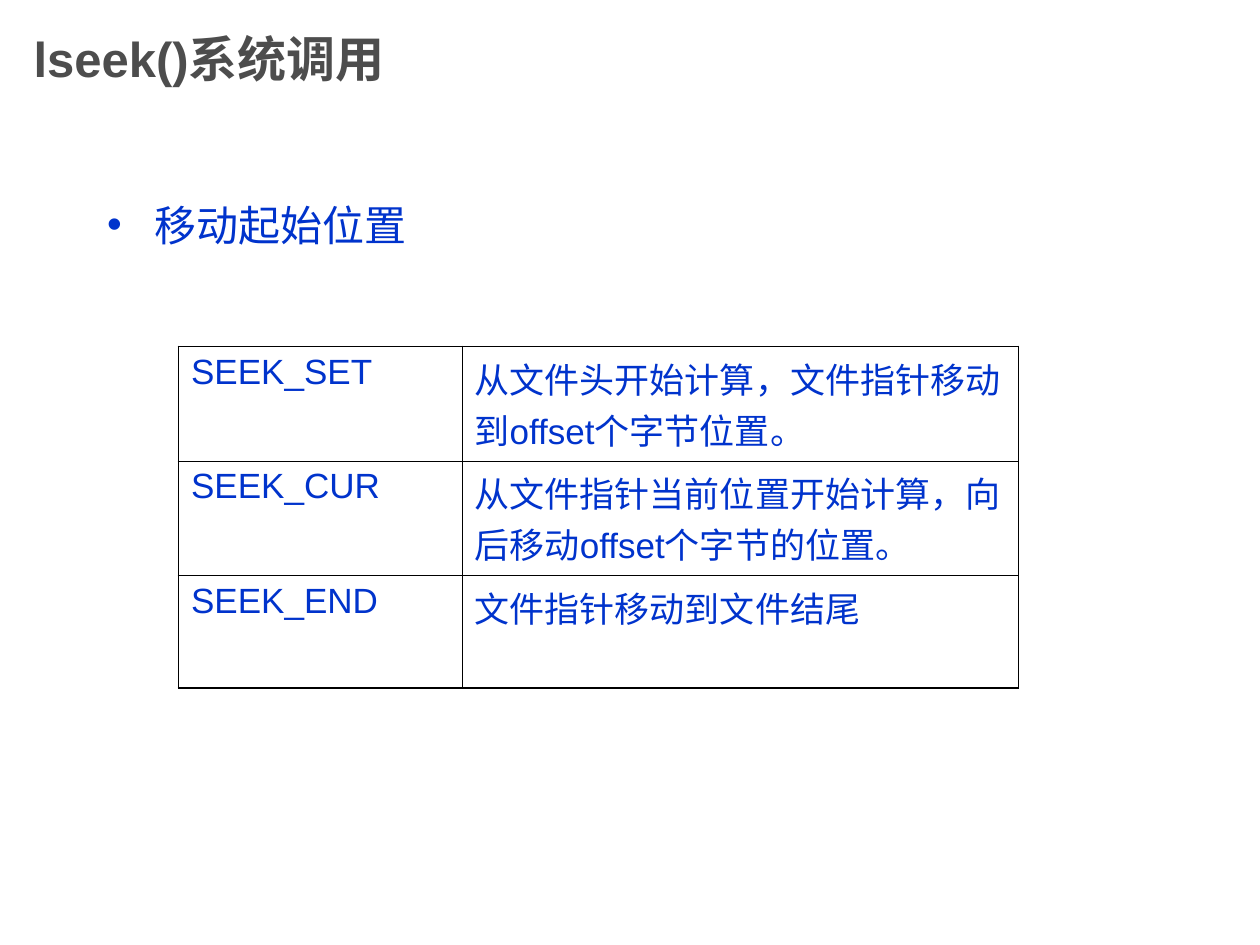
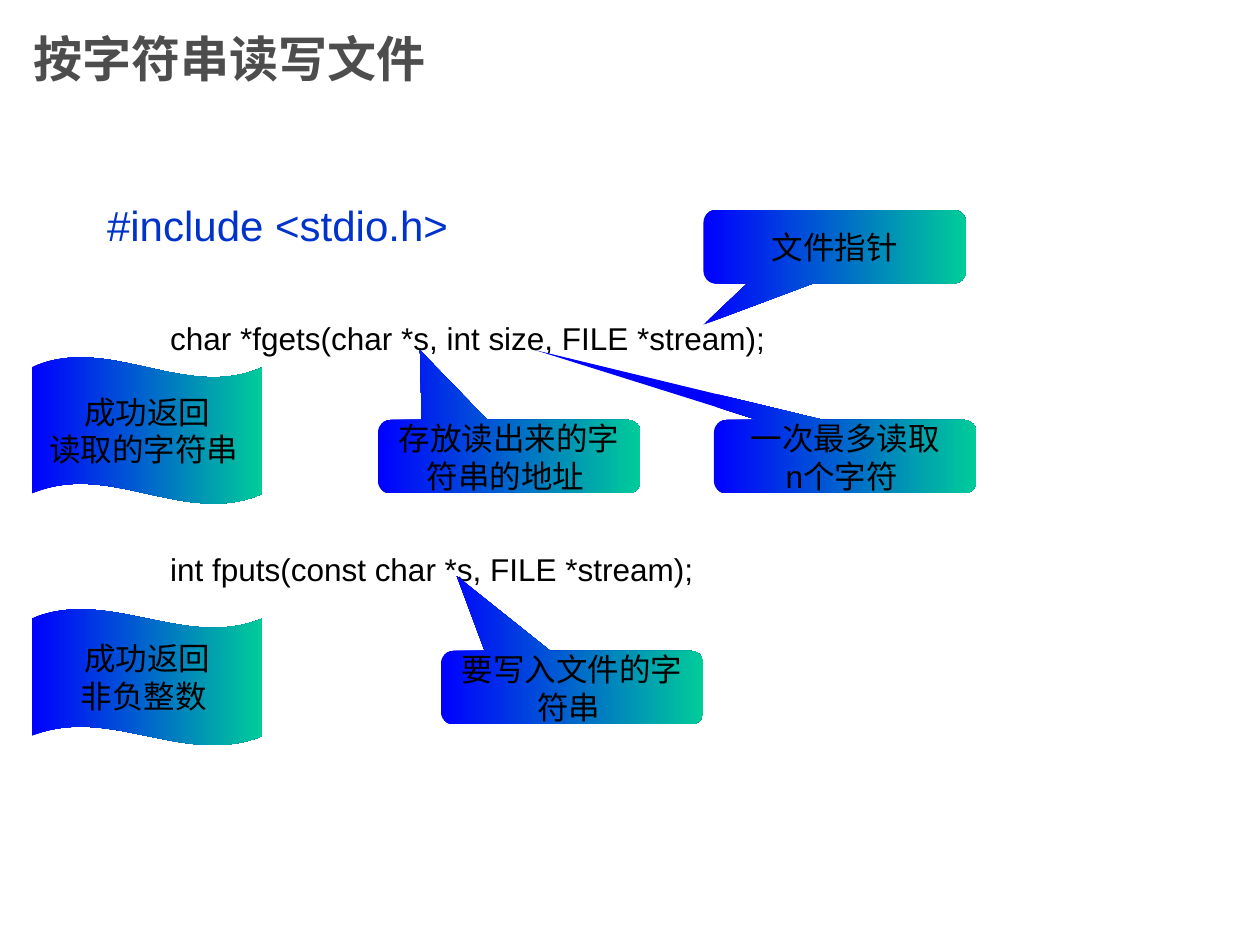
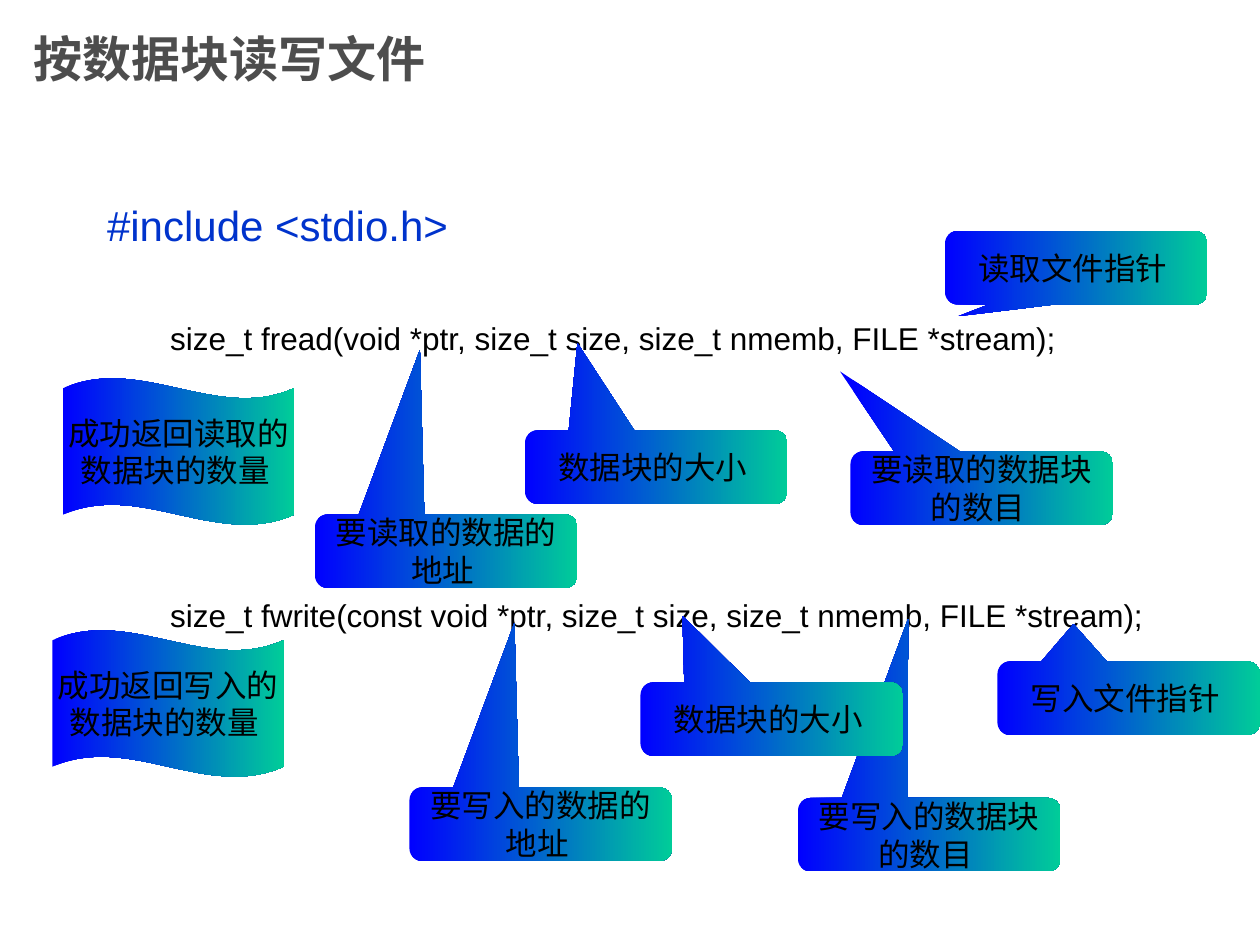
import dataclasses

import pptx
import pptx.dml.color
import pptx.enum.shapes
import pptx.enum.text
import pptx.oxml.ns
import pptx.util
from lxml import etree

ALIGN = pptx.enum.text.PP_ALIGN
ANCHOR = pptx.enum.text.MSO_ANCHOR
SHAPE = pptx.enum.shapes.MSO_SHAPE
Pt = pptx.util.Pt
qn = pptx.oxml.ns.qn


@dataclasses.dataclass(frozen=True)
class Theme:
    """Colours, type sizes and line widths shared by the slides."""
    font: str = "Arial"
    title: str = "4D4D4D"
    accent: str = "0033CC"
    ink: str = "000000"
    grad: tuple = ("0000FF", "00CC99")
    title_pt: int = 28
    body_pt: int = 24
    cell_pt: int = 20
    code_pt: int = 18
    outer_pt: float = 1.08
    inner_pt: float = 0.45


THEME = Theme()
CELL = pptx.util.Inches(10) // 120
TITLE_BOX = (2, 0, 90, 11)
BODY_BOX = (9, 18, 102, 62)
CALLOUT_SIZE = (25, 7)
WAVE_WIDTH = 22


def grid(*cells):
    """Turn columns and rows of the 120 by 90 grid into lengths."""
    return [pptx.util.Emu(round(c * CELL)) for c in cells]


def rgb(code):
    """Return a colour from its hex code."""
    return pptx.dml.color.RGBColor.from_string(code)


def write(p, text, size=THEME.code_pt, color=THEME.ink, bold=False,
          align=ALIGN.LEFT, before=0, indent=None, bullet=None):
    """Put formatted text into a paragraph."""
    p.alignment = align
    p.space_before = Pt(before)
    if indent:
        pPr = p._p.get_or_add_pPr()
        left, first = (pptx.util.Inches(i) for i in indent)
        pPr.set("marL", str(left))
        pPr.set("indent", str(first))
        if bullet:
            etree.SubElement(pPr, qn("a:buChar"), char=bullet)
        else:
            etree.SubElement(pPr, qn("a:buNone"))
    r = p.add_run()
    r.text = text
    r.font.name = THEME.font
    r.font.size = Pt(size)
    r.font.bold = bold
    r.font.color.rgb = rgb(color)


def place(sp, box):
    """Move a shape to a grid box."""
    sp.left, sp.top, sp.width, sp.height = grid(*box)


def add_page(prs, title, heading, bullet=None):
    """Add a slide with its title and the first body line."""
    s = prs.slides.add_slide(prs.slide_layouts[1])
    head, body = s.placeholders
    place(head, TITLE_BOX)
    place(body, BODY_BOX)
    for sp in (head, body):
        sp.text_frame.auto_size = pptx.enum.text.MSO_AUTO_SIZE.NONE
    head.text_frame.vertical_anchor = ANCHOR.MIDDLE
    body.text_frame.vertical_anchor = ANCHOR.TOP
    body.text_frame.margin_top = pptx.util.Inches(0.08)
    write(head.text_frame.paragraphs[0], title, size=THEME.title_pt,
          color=THEME.title, bold=True)
    write(body.text_frame.paragraphs[0], heading, size=THEME.body_pt,
          color=THEME.accent, indent=(0.38, -0.38), bullet=bullet)
    return s, body.text_frame


def set_borders(cell, widths):
    """Draw the left, right, top and bottom borders of a cell."""
    tcPr = cell._tc.get_or_add_tcPr()
    for side, width in zip("LRTB", widths):
        ln = etree.SubElement(tcPr, qn(f"a:ln{side}"), w=str(Pt(width)))
        fill = etree.SubElement(ln, qn("a:solidFill"))
        etree.SubElement(fill, qn("a:srgbClr"), val=THEME.ink)


def add_grid_table(s, left, top, cols, rows, data):
    """Add a table with a heavier outline than its inner rules."""
    box = grid(left, top, sum(cols), sum(rows))
    table = s.shapes.add_table(len(rows), len(cols), *box).table
    table.first_row = table.horz_banding = False
    for col, width in zip(table.columns, grid(*cols)):
        col.width = width
    for row, height in zip(table.rows, grid(*rows)):
        row.height = height
    for i, texts in enumerate(data):
        for j, text in enumerate(texts):
            cell = table.cell(i, j)
            edges = (j == 0, j == len(cols) - 1, i == 0, i == len(rows) - 1)
            set_borders(cell, [THEME.outer_pt if e else THEME.inner_pt for e in edges])
            cell.fill.background()
            write(cell.text_frame.paragraphs[0], text, size=THEME.cell_pt,
                  color=THEME.accent)


def add_label(s, kind, box, adjustments, text, wrap=True):
    """Add a gradient shape with centred lines of text."""
    sp = s.shapes.add_shape(kind, *grid(*box))
    for i, value in enumerate(adjustments):
        sp.adjustments[i] = value
    sp.shadow.inherit = False
    sp.line.fill.background()
    sp.fill.gradient()
    sp.fill.gradient_angle = 0
    for stop, position, color in zip(sp.fill.gradient_stops, (0, 1), THEME.grad):
        stop.position = position
        stop.color.rgb = rgb(color)
    tf = sp.text_frame
    tf.word_wrap = wrap
    tf.vertical_anchor = ANCHOR.MIDDLE
    for i, line in enumerate(text.split("\n")):
        p = tf.add_paragraph() if i else tf.paragraphs[0]
        write(p, line, align=ALIGN.CENTER)


def add_code_page(prs, title, prototypes, callouts, returns):
    """Add a slide of prototypes with argument callouts and return waves."""
    s, tf = add_page(prs, title, "#include <stdio.h>")
    for before, code in prototypes:
        write(tf.add_paragraph(), code, before=before, indent=(0.81, -0.31))
    for left, top, dx, dy, text in callouts:
        add_label(s, SHAPE.ROUNDED_RECTANGULAR_CALLOUT,
                  (left, top, *CALLOUT_SIZE), (dx, dy, 0.17), text)
    for left, top, height, text in returns:
        add_label(s, SHAPE.WAVE, (left, top, WAVE_WIDTH, height), (0.07, 0),
                  text, wrap=False)


def add_lseek_page(prs):
    """Add the slide on the starting points of lseek."""
    s, _ = add_page(prs, "lseek()系统调用", "移动起始位置", bullet="•")
    add_grid_table(s, 17, 33, (27, 53), (10.9, 10.9, 10.7), (
        ("SEEK_SET", "从文件头开始计算，文件指针移动到offset个字节位置。"),
        ("SEEK_CUR", "从文件指针当前位置开始计算，向后移动offset个字节的位置。"),
        ("SEEK_END", "文件指针移动到文件结尾"),
    ))


def main():
    """Build and save the slides."""
    prs = pptx.Presentation()
    prs.slide_width, prs.slide_height = grid(120, 90)
    add_lseek_page(prs)
    add_code_page(
        prs, "按字符串读写文件",
        ((40, "char *fgets(char *s, int size, FILE *stream);"),
         (110, "int fputs(const char *s, FILE *stream);")),
        ((36, 40, -0.34, -1.45, "存放读出来的字符串的地址 "),
         (68, 40, -1.18, -1.45, "一次最多读取\nn个字符 "),
         (67, 20, -0.5, 1.06, "文件指针"),
         (42, 62, -0.44, -1.52, "要写入文件的字符串 ")),
        ((3, 34, 14, "成功返回\n读取的字符串 "),
         (3, 58, 13, "成功返回\n非负整数 ")))
    add_code_page(
        prs, "按数据块读写文件",
        ((40, "size_t fread(void *ptr, size_t size, size_t nmemb, FILE *stream);"),
         (136.5, "size_t fwrite(const void *ptr, size_t size, size_t nmemb, FILE *stream);")),
        ((30, 49, -0.1, -2.74, "要读取的数据的地址 "),
         (50, 41, -0.3, -1.69, "数据块的大小 "),
         (76, 76, -0.08, -2.94, "要写入的数据块的数目 "),
         (39, 75, -0.1, -2.74, "要写入的数据的地址 "),
         (61, 65, -0.34, -1.41, "数据块的大小 "),
         (81, 43, -0.54, -1.59, "要读取的数据块的数目 "),
         (90, 22, -0.45, 0.66, "读取文件指针 "),
         (95, 63, -0.21, -1.01, "写入文件指针 ")),
        ((6, 36, 14, "成功返回读取的\n数据块的数量 "),
         (5, 60, 14, "成功返回写入的\n数据块的数量 ")))
    prs.save("out.pptx")


if __name__ == "__main__":
    main()
